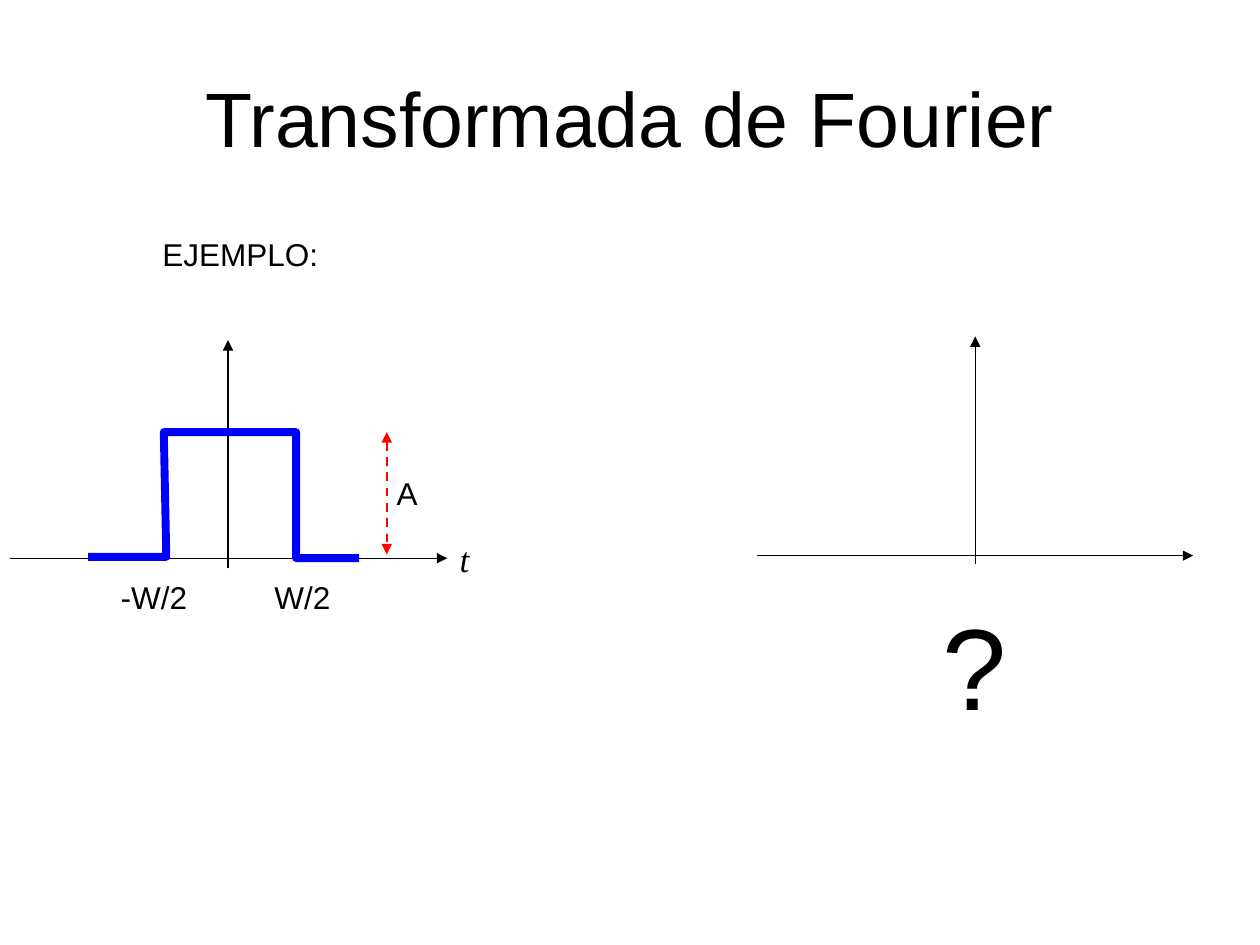
"""Build the Fourier transform example slide with a pulse and an empty spectrum."""
import pptx
import pptx.dml.color
import pptx.enum.dml
import pptx.enum.shapes
import pptx.enum.text
import pptx.oxml
import pptx.util

Inches = pptx.util.Inches

TITLE = "Transformada de Fourier"
LABELS = [
    ("EJEMPLO:", 1.19, 1.82, 1.45, 0.4, 18, "Arial", False),
    ("A", 3.05, 3.71, 0.37, 0.4, 18, "Arial", False),
    ("-W/2", 0.86, 4.54, 0.73, 0.4, 18, "Arial", False),
    ("W/2", 2.08, 4.54, 0.65, 0.4, 18, "Arial", False),
    ("t", 3.55, 4.22, 0.28, 0.44, 20, "Times New Roman", True),
    ("?", 7.38, 4.67, 0.72, 1.21, 66, "Arial", False),
]
AXES = [
    ((0.08, 4.43), (3.55, 4.43)),
    ((1.81, 4.51), (1.81, 2.7)),
    ((6.01, 4.41), (9.47, 4.41)),
    ((7.74, 4.48), (7.74, 2.67)),
]
PULSE = [(0.7, 4.42), (1.32, 4.42), (1.3, 3.43), (2.35, 3.43), (2.35, 4.43), (2.85, 4.43)]
AMPLITUDE = ((3.07, 3.43), (3.07, 4.4))


def color(value):
    return pptx.dml.color.RGBColor.from_string(value)


def add_line_part(shape, tag, **attributes):
    part = pptx.oxml.parse_xml(
        f'<a:{tag} xmlns:a="http://schemas.openxmlformats.org/drawingml/2006/main"/>')
    for name, value in attributes.items():
        part.set(name, value)
    shape.line._get_or_add_ln().append(part)


def style_line(shape, value, width):
    shape.line.color.rgb = color(value)
    shape.line.width = pptx.util.Pt(width)


def add_arrow(page, start, end, value="000000", width=0.75, double=False):
    arrow = page.shapes.add_connector(
        pptx.enum.shapes.MSO_CONNECTOR.STRAIGHT, *map(Inches, start + end))
    style_line(arrow, value, width)
    if double:
        arrow.line.dash_style = pptx.enum.dml.MSO_LINE.DASH
        add_line_part(arrow, "headEnd", type="triangle")
    add_line_part(arrow, "tailEnd", type="triangle")
    arrow._element.spPr.append(pptx.oxml.parse_xml(
        '<a:effectLst xmlns:a="http://schemas.openxmlformats.org/drawingml/2006/main"/>'))


def add_span(paragraph, text, size, font="Arial", italic=False):
    span = paragraph.add_run()
    span.text = text
    span.font.size = pptx.util.Pt(size)
    span.font.name = font
    span.font.italic = italic
    span.font.color.rgb = color("000000")


def add_label(page, text, left, top, width, height, size, font, italic):
    box = page.shapes.add_textbox(*map(Inches, (left, top, width, height)))
    box.text_frame.word_wrap = False
    box.text_frame.auto_size = pptx.enum.text.MSO_AUTO_SIZE.SHAPE_TO_FIT_TEXT
    add_span(box.text_frame.paragraphs[0], text, size, font, italic)


def add_title(page):
    title = page.shapes.title
    title.left, title.top, title.width, title.height = map(Inches, (0.5, 0.3, 9, 1.25))
    title.text_frame.vertical_anchor = pptx.enum.text.MSO_ANCHOR.MIDDLE
    paragraph = title.text_frame.paragraphs[0]
    paragraph.alignment = pptx.enum.text.PP_ALIGN.CENTER
    add_span(paragraph, TITLE, 44)


def add_pulse(page):
    points = [(Inches(x), Inches(y)) for x, y in PULSE]
    builder = page.shapes.build_freeform(*points[0])
    builder.add_line_segments(points[1:], close=False)
    pulse = builder.convert_to_shape()
    pulse.shadow.inherit = False
    pulse.fill.background()
    style_line(pulse, "0000FF", 4.5)
    add_line_part(pulse, "round")


def main():
    deck = pptx.Presentation()
    deck.slide_width, deck.slide_height = Inches(10), Inches(7.5)
    page = deck.slides.add_slide(deck.slide_layouts[5])
    add_title(page)
    for start, end in AXES:
        add_arrow(page, start, end)
    add_pulse(page)
    add_arrow(page, *AMPLITUDE, value="FF0000", width=1.25, double=True)
    for label in LABELS:
        add_label(page, *label)
    deck.save("out.pptx")


if __name__ == "__main__":
    main()
